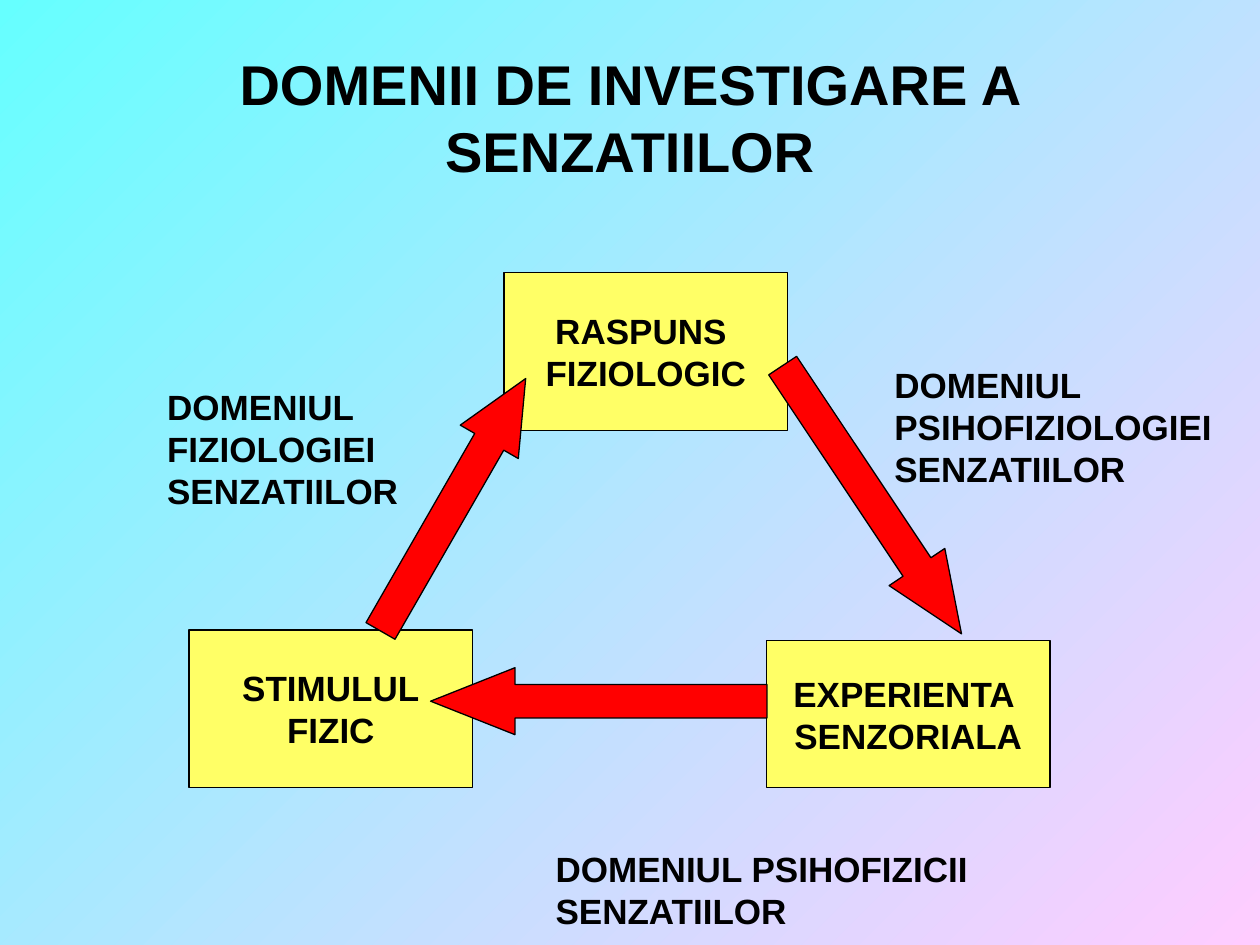
from dataclasses import dataclass

from pptx import Presentation, util as u
from pptx.dml import color
from pptx.enum import shapes, text
from pptx.slide import Slide


def rgb(value):
    """Turn a hex string into a colour."""
    return color.RGBColor.from_string(value)


@dataclass
class SlideBuilder:
    """Hold the style and the current slide."""

    slide: Slide
    font: str = "Arial"
    ink: str = "000000"
    box_fill: str = "FFFF66"
    arrow_fill: str = "FF0000"
    size: int = 20

    def background(self, start, end):
        """Fill the background with a diagonal gradient."""
        fill = self.slide.background.fill
        fill.gradient()
        fill.gradient_angle = 315
        for stop, value in zip(fill.gradient_stops, (start, end)):
            stop.color.rgb = rgb(value)

    def add_lines(self, frame, lines, size, align):
        """Add one bold paragraph for each line."""
        for index, line in enumerate(lines):
            paragraph = frame.paragraphs[0] if index == 0 else frame.add_paragraph()
            paragraph.text = line
            paragraph.alignment = align
            font = paragraph.font
            font.name, font.size, font.bold = self.font, u.Pt(size), True
            font.color.rgb = rgb(self.ink)

    def title(self, line, *place):
        """Add the wrapped, centred title."""
        frame = self.slide.shapes.add_textbox(*map(u.Cm, place)).text_frame
        frame.word_wrap = True
        frame.vertical_anchor = text.MSO_ANCHOR.MIDDLE
        self.add_lines(frame, [line], 32, text.PP_ALIGN.CENTER)

    def label(self, lines, *place):
        """Add a left-aligned label."""
        frame = self.slide.shapes.add_textbox(*map(u.Cm, place)).text_frame
        frame.word_wrap = False
        frame.auto_size = text.MSO_AUTO_SIZE.SHAPE_TO_FIT_TEXT
        self.add_lines(frame, lines, self.size, text.PP_ALIGN.LEFT)

    def outlined(self, kind, fill, place):
        """Add a filled shape with a thin outline."""
        shape = self.slide.shapes.add_shape(kind, *map(u.Cm, place))
        shape.shadow.inherit = False
        shape.fill.solid()
        shape.fill.fore_color.rgb = rgb(fill)
        shape.line.color.rgb = rgb(self.ink)
        shape.line.width = u.Pt(0.75)
        return shape

    def box(self, lines, *place):
        """Add a box with centred text."""
        frame = self.outlined(shapes.MSO_SHAPE.RECTANGLE, self.box_fill, place).text_frame
        frame.word_wrap = False
        frame.vertical_anchor = text.MSO_ANCHOR.MIDDLE
        self.add_lines(frame, lines, self.size, text.PP_ALIGN.CENTER)

    def arrow(self, left, top, length, rotation, head):
        """Add a rotated block arrow."""
        place = (left, top, length, 1.35)
        shape = self.outlined(shapes.MSO_SHAPE.RIGHT_ARROW, self.arrow_fill, place)
        shape.adjustments[1] = head
        shape.rotation = rotation


def main():
    """Build and save the slide."""
    presentation = Presentation()
    presentation.slide_width, presentation.slide_height = u.Cm(25.4), u.Cm(19.05)
    builder = SlideBuilder(presentation.slides.add_slide(presentation.slide_layouts[6]))
    builder.background("66FFFF", "FFCCFF")
    builder.title("DOMENII DE INVESTIGARE A SENZATIILOR", 1.27, 0.76, 22.86, 3.18)

    builder.box(["RASPUNS ", "FIZIOLOGIC"], 10.16, 5.5, 5.72, 3.18)
    builder.box(["STIMULUL", "FIZIC"], 3.81, 12.7, 5.72, 3.18)
    builder.box(["EXPERIENTA ", "SENZORIALA"], 15.45, 12.91, 5.72, 2.97)

    builder.arrow(6.2, 9.5, 5.87, 299.9, 1.09)
    builder.arrow(14.33, 9.4, 6.5, 56.3, 1.2)
    builder.arrow(8.68, 13.46, 6.78, 180, 1.26)

    builder.label(["DOMENIUL", "FIZIOLOGIEI", "SENZATIILOR"], 3.12, 7.65, 5.21, 2.79)
    builder.label(["DOMENIUL", "PSIHOFIZIOLOGIEI", "SENZATIILOR"], 17.78, 7.2, 6.91, 2.79)
    builder.label(["DOMENIUL PSIHOFIZICII", "SENZATIILOR"], 10.95, 16.96, 8.84, 1.96)

    presentation.save("out.pptx")


if __name__ == "__main__":
    main()
